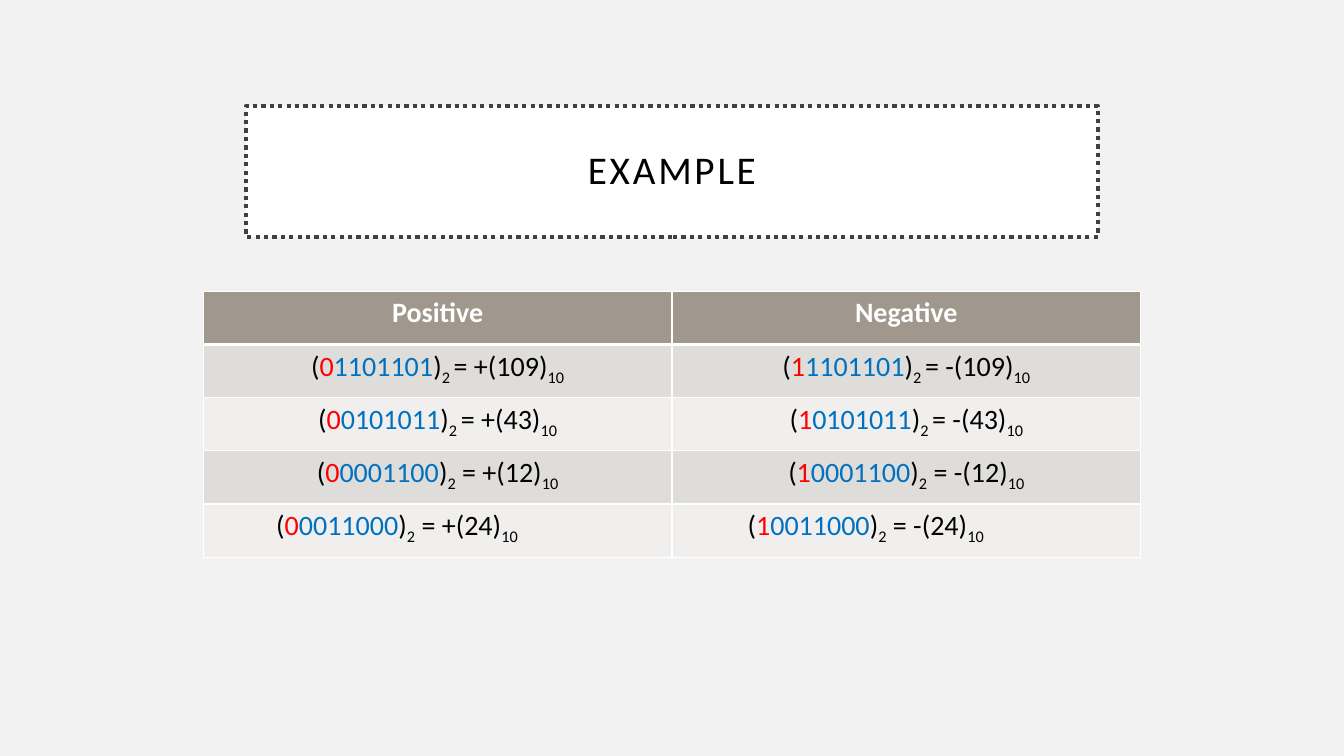
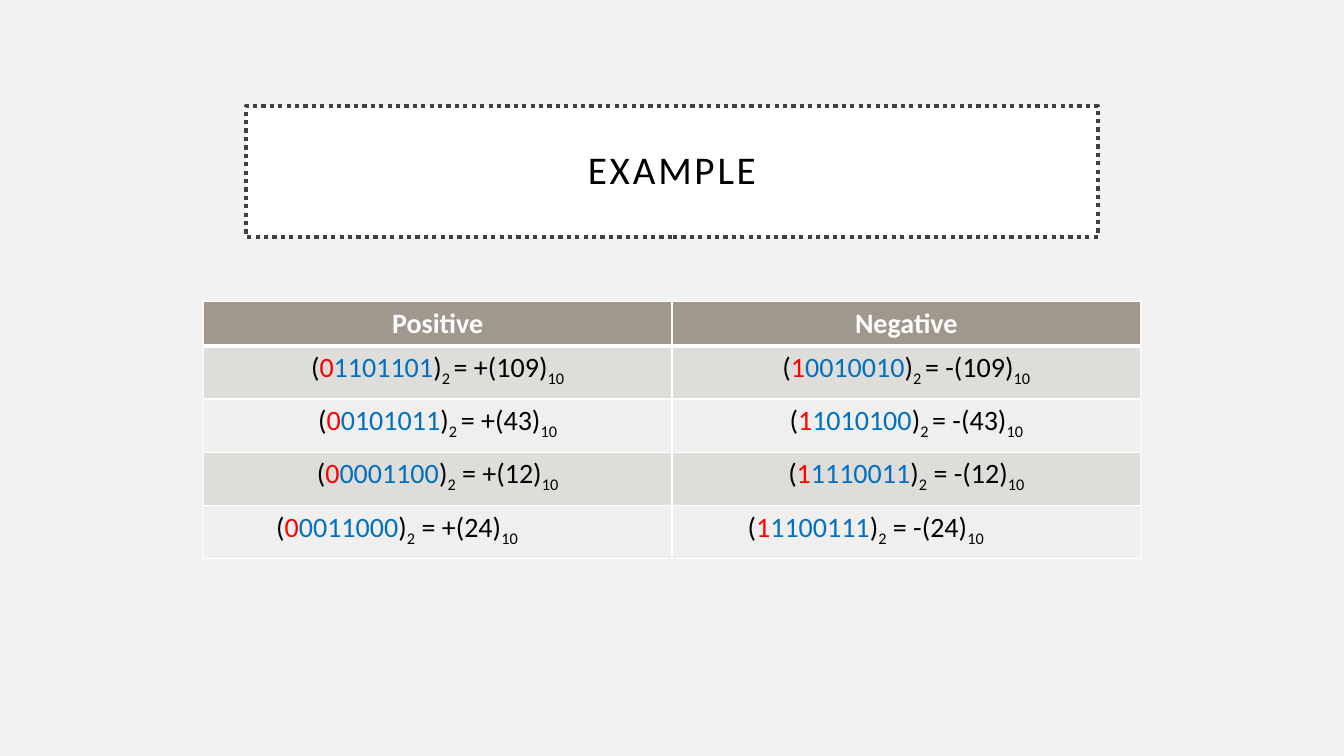
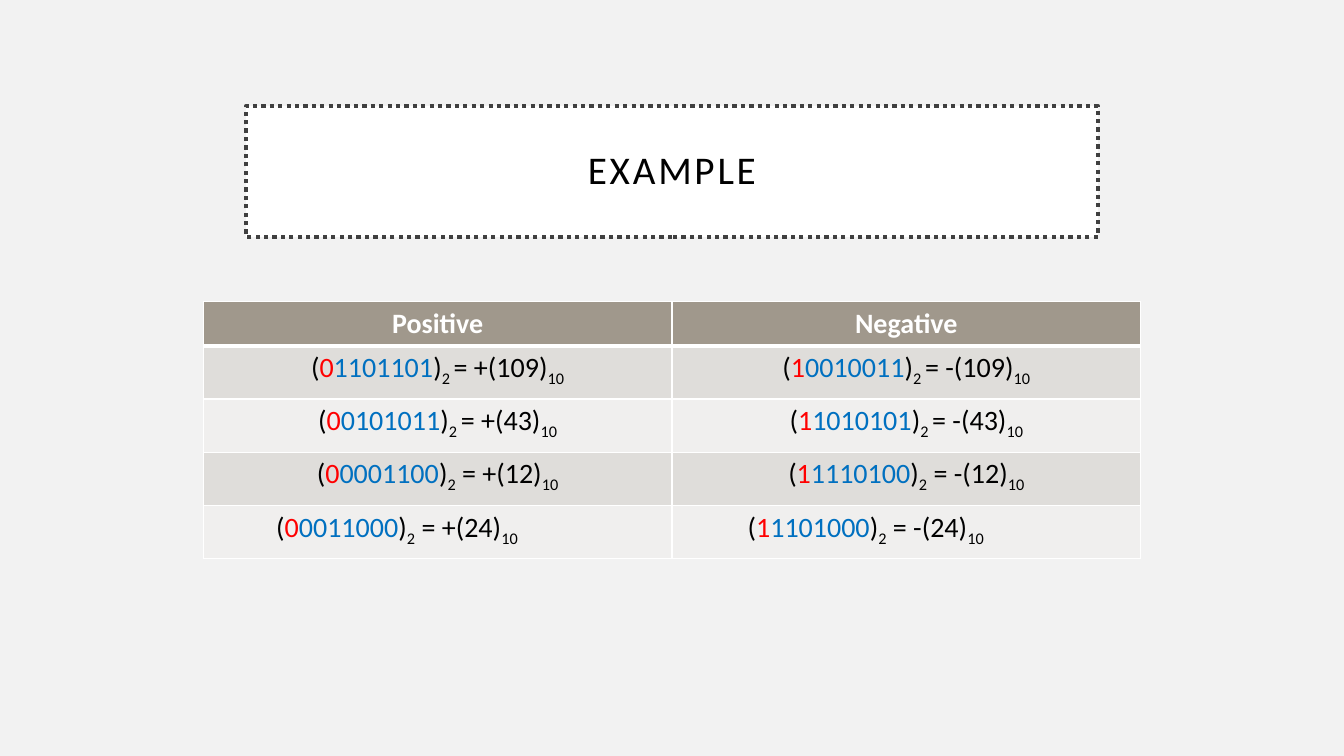
"""Build three example slides on signed binary numbers."""
from lxml.etree import SubElement
from pptx import Presentation
from pptx.dml.color import RGBColor as RGB
from pptx.enum.dml import MSO_LINE
from pptx.enum.text import MSO_ANCHOR, MSO_AUTO_SIZE, PP_ALIGN
from pptx.oxml.ns import qn
from pptx.util import Pt

TITLE = "EXAMPLE"
HEADINGS = ("Positive", "Negative")
BASE_TWO = ("2 ", "2 ", "2", "2")
EQUALS = ("= ", "= ", " = ", " = ")
VALUES = (109, 43, 12, 24)
POSITIVE = ("01101101", "00101011", "00001100", "00011000")
EXAMPLES = [
    {"top": 208, "header": 38,
     "negative": ("11101101", "10101011", "10001100", "10011000")},
    {"top": 215.3, "header": 31.6,
     "negative": ("10010010", "11010100", "11110011", "11100111")},
    {"top": 215.3, "header": 31.6,
     "negative": ("10010011", "11010101", "11110100", "11101000")},
]

COLORS = {
    "background": "F2F2F2", "white": "FFFFFF", "black": "000000",
    "frame": "404040", "header": "A0988C", "odd": "DFDDDA", "even": "F0EFEE",
    "sign": "FF0000", "magnitude": "0070C0",
}
FONT = "Calibri"
SLIDE_WIDTH, SLIDE_HEIGHT = 960, 540
TITLE_TOP, TITLE_WIDTH, TITLE_HEIGHT = 75.6, 608.4, 93.6
TABLE_WIDTH, ROW_HEIGHT = 669.6, 38
LAST_ROW_MARGIN = 65.2


def color(key):
    return RGB.from_string(COLORS[key])


def paint(fill, key):
    fill.solid()
    fill.fore_color.rgb = color(key)


def apply(target, formats):
    for attribute, value in formats.items():
        setattr(target, attribute, value)


def add_run(paragraph, text, key="black", size=20, bold=False, **extras):
    run = paragraph.add_run()
    run.text = text
    apply(run.font, {"name": FONT, "size": Pt(size), "bold": bold})
    run.font.color.rgb = color(key)
    for attribute, value in extras.items():
        run._r.get_or_add_rPr().set(attribute, value)


def add_title(slide):
    title = slide.shapes.title
    apply(title, {"left": Pt((SLIDE_WIDTH - TITLE_WIDTH) / 2), "top": Pt(TITLE_TOP),
                  "width": Pt(TITLE_WIDTH), "height": Pt(TITLE_HEIGHT)})
    paint(title.fill, "white")
    paint(title.line.fill, "frame")
    apply(title.line, {"width": Pt(3), "dash_style": MSO_LINE.ROUND_DOT})
    frame = title.text_frame
    apply(frame, {"word_wrap": True, "auto_size": MSO_AUTO_SIZE.NONE,
                  "vertical_anchor": MSO_ANCHOR.MIDDLE,
                  "margin_left": Pt(21.6), "margin_right": Pt(21.6),
                  "margin_top": Pt(14.4), "margin_bottom": Pt(14.4)})
    apply(frame.paragraphs[0], {"alignment": PP_ALIGN.CENTER, "line_spacing": 0.9})
    add_run(frame.paragraphs[0], TITLE, size=28, spc="200")


def add_borders(cell, top, bottom):
    properties = cell._tc.get_or_add_tcPr()
    for side, width in {"L": 1, "R": 1, "T": top, "B": bottom}.items():
        border = SubElement(properties, qn(f"a:ln{side}"), w=str(Pt(width)))
        fill = SubElement(border, qn("a:solidFill"))
        SubElement(fill, qn("a:srgbClr"), val=COLORS["white"])


def format_cell(cell, row):
    add_borders(cell, top=3 if row == 1 else 1, bottom=1 if row else 3)
    paint(cell.fill, "header" if row == 0 else "odd" if row % 2 else "even")
    paragraph = cell.text_frame.paragraphs[0]
    paragraph.alignment = PP_ALIGN.CENTER
    return paragraph


def add_equation(paragraph, bits, base, equals, number):
    add_run(paragraph, "(")
    add_run(paragraph, bits[0], "sign")
    add_run(paragraph, bits[1:], "magnitude")
    add_run(paragraph, ")")
    add_run(paragraph, base, baseline="-25000")
    add_run(paragraph, f"{equals}{number}")
    add_run(paragraph, "10", baseline="-25000")


def add_number_table(slide, top, header, negative):
    heights = [header] + [ROW_HEIGHT] * len(VALUES)
    left = (SLIDE_WIDTH - TABLE_WIDTH) / 2
    table = slide.shapes.add_table(
        len(heights), len(HEADINGS), Pt(left), Pt(top),
        Pt(TABLE_WIDTH), Pt(sum(heights))).table
    for row, height in zip(table.rows, heights):
        row.height = Pt(height)
    for column, (heading, sign, codes) in enumerate(
            zip(HEADINGS, "+-", (POSITIVE, negative))):
        add_run(format_cell(table.cell(0, column), 0), heading, "white", bold=True)
        for row, (bits, base, equals, value) in enumerate(
                zip(codes, BASE_TWO, EQUALS, VALUES), 1):
            cell = table.cell(row, column)
            add_equation(format_cell(cell, row), bits, base, equals, f"{sign}({value})")
        table.cell(len(VALUES), column).margin_right = Pt(LAST_ROW_MARGIN)


def main():
    deck = Presentation()
    apply(deck, {"slide_width": Pt(SLIDE_WIDTH), "slide_height": Pt(SLIDE_HEIGHT)})
    paint(deck.slide_master.background.fill, "background")
    for example in EXAMPLES:
        slide = deck.slides.add_slide(deck.slide_layouts[5])
        add_title(slide)
        add_number_table(slide, **example)
    deck.save("out.pptx")


if __name__ == "__main__":
    main()
